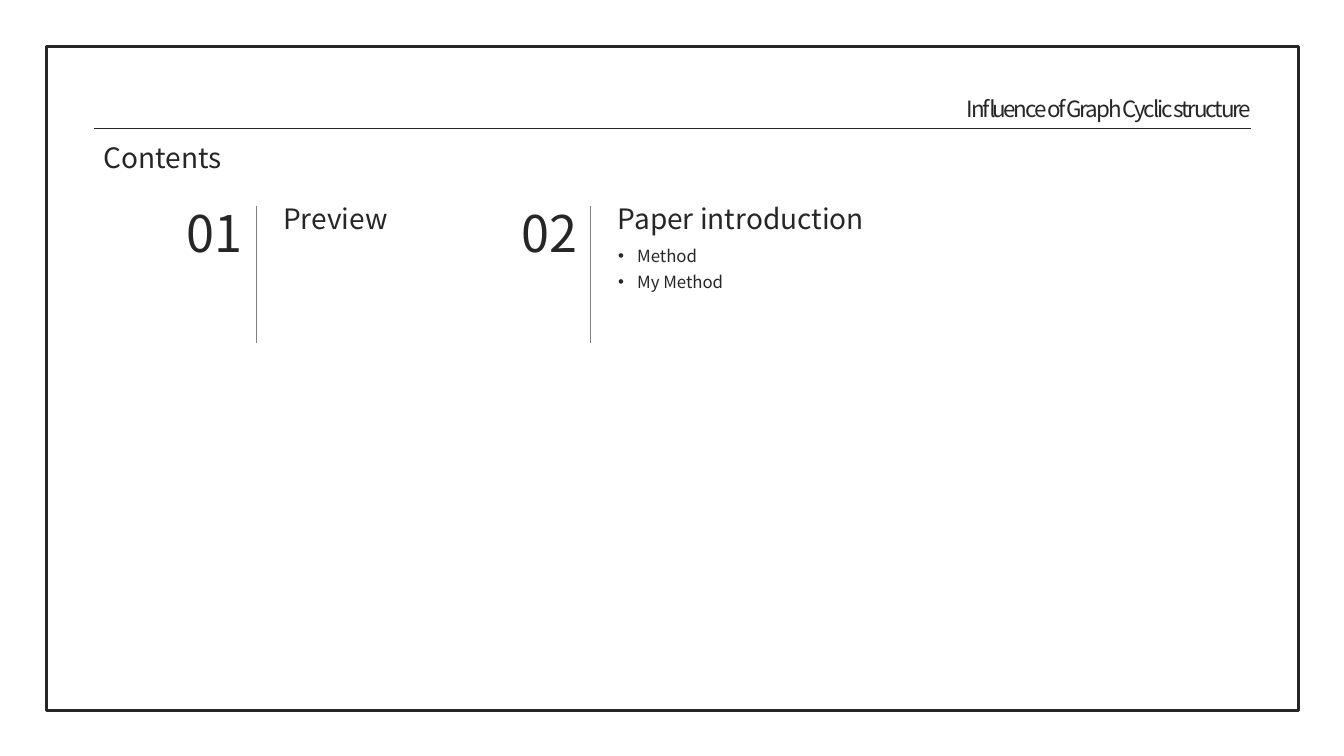
from lxml import etree
from pptx import Presentation
from pptx.dml.color import RGBColor
from pptx.enum.shapes import MSO_CONNECTOR, MSO_SHAPE
from pptx.enum.text import MSO_ANCHOR, MSO_AUTO_SIZE, PP_ALIGN
from pptx.oxml.ns import qn
from pptx.util import Emu, Pt

PX = 9144  # EMU per px, 100 px to the inch
FONT = "Noto Sans CJK KR"
INK, GREY = "262626", "808080"
CHAPTERS = ["Preview", "Paper introduction"]
FIRST_LEFT, CHAPTER_STEP, CHAPTER_TOP = 172, 332, 195


def px(length):
    return Emu(length * PX)


def color(value):
    return RGBColor.from_string(value)


def place(box, left, top, width, height):
    box.left, box.top = px(left), px(top)
    box.width, box.height = px(width), px(height)


def set_frame(box, anchor=MSO_ANCHOR.TOP):
    frame = box.text_frame
    frame.word_wrap = True
    frame.auto_size = MSO_AUTO_SIZE.NONE
    frame.vertical_anchor = anchor
    return frame


def write(para, text, size, align=PP_ALIGN.LEFT, tracking=None):
    para.alignment = align
    span = para.add_run()
    span.text = text
    span.font.name = FONT
    span.font.size = Pt(size)
    span.font.color.rgb = color(INK)
    if tracking is not None:
        span.font._element.set("spc", str(round(tracking * 100)))


def add_text(page, area, text, size, align=PP_ALIGN.LEFT,
             anchor=MSO_ANCHOR.TOP, tracking=None):
    box = page.shapes.add_textbox(*map(px, area))
    write(set_frame(box, anchor).paragraphs[0], text, size, align, tracking)


def add_line(page, left, top, right, bottom, tone):
    line = page.shapes.add_connector(
        MSO_CONNECTOR.STRAIGHT, *map(px, (left, top, right, bottom)))
    line.line.color.rgb = color(tone)
    line.line.width = Pt(0.5)
    etree.SubElement(line._element.spPr, qn("a:effectLst"))


def add_border(page):
    border = page.shapes.add_shape(
        MSO_SHAPE.RECTANGLE, *map(px, (46, 46, 1242, 659)))
    border.shadow.inherit = False
    border.fill.background()
    border.line.color.rgb = color(INK)
    border.line.width = Pt(2)


def fill_title(page, text):
    title = page.shapes.title
    place(title, 93, 134, 338, 44)
    write(set_frame(title).paragraphs[0], text, 20)


def fill_topics(page, topics):
    body = page.placeholders[1]
    place(body, 603, 233, 575, 60)
    frame = set_frame(body)
    for index, topic in enumerate(topics):
        para = frame.add_paragraph() if index else frame.paragraphs[0]
        properties = para._p.get_or_add_pPr()
        properties.set("marL", str(px(19)))
        properties.set("indent", str(px(-19)))
        etree.SubElement(properties, qn("a:buFont")).set("typeface", "Arial")
        etree.SubElement(properties, qn("a:buChar")).set("char", "•")
        para.line_spacing = 1.3
        para.space_before = Pt(0)
        write(para, topic, 12)


def add_chapter(page, index, heading):
    left = FIRST_LEFT + index * CHAPTER_STEP
    add_text(page, (left, CHAPTER_TOP, 82, 71), f"{index + 1:02d}", 36,
             PP_ALIGN.CENTER, MSO_ANCHOR.MIDDLE)
    add_line(page, left + 82, 204, left + 82, 340, GREY)
    add_text(page, (left + 99, CHAPTER_TOP, 315, 44), heading, 20)


def main():
    deck = Presentation()
    deck.slide_width, deck.slide_height = px(1333), px(750)
    page = deck.slides.add_slide(deck.slide_layouts[1])

    # Frame and running header
    add_border(page)
    add_line(page, 93, 127, 1241, 127, INK)
    add_text(page, (866, 89, 385, 37), "Influence of Graph Cyclic structure",
             16, PP_ALIGN.RIGHT, tracking=-1.5)

    # Contents
    fill_title(page, "Contents")
    for index, heading in enumerate(CHAPTERS):
        add_chapter(page, index, heading)
    fill_topics(page, ["Method", "My Method"])

    deck.save("out.pptx")


if __name__ == "__main__":
    main()
